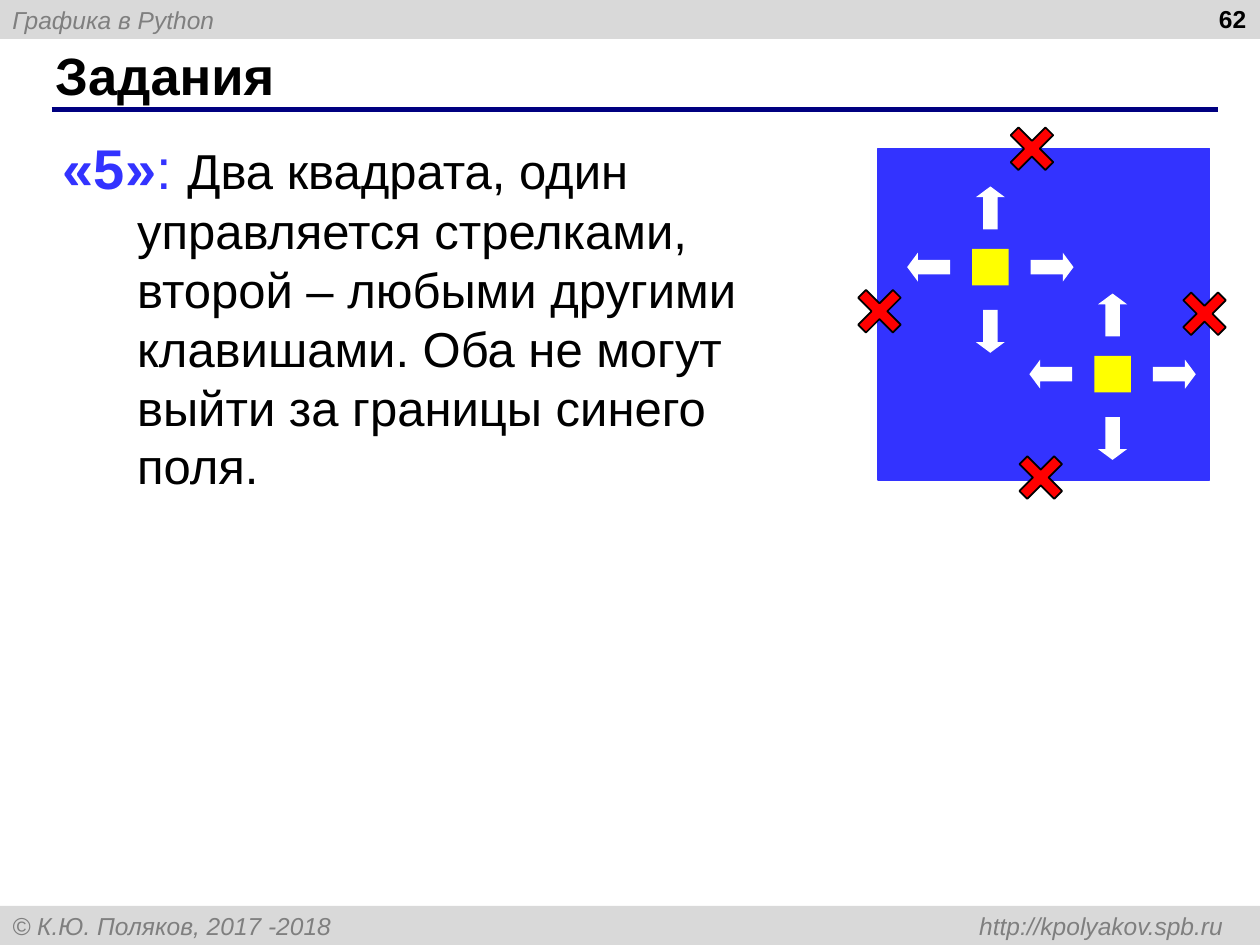
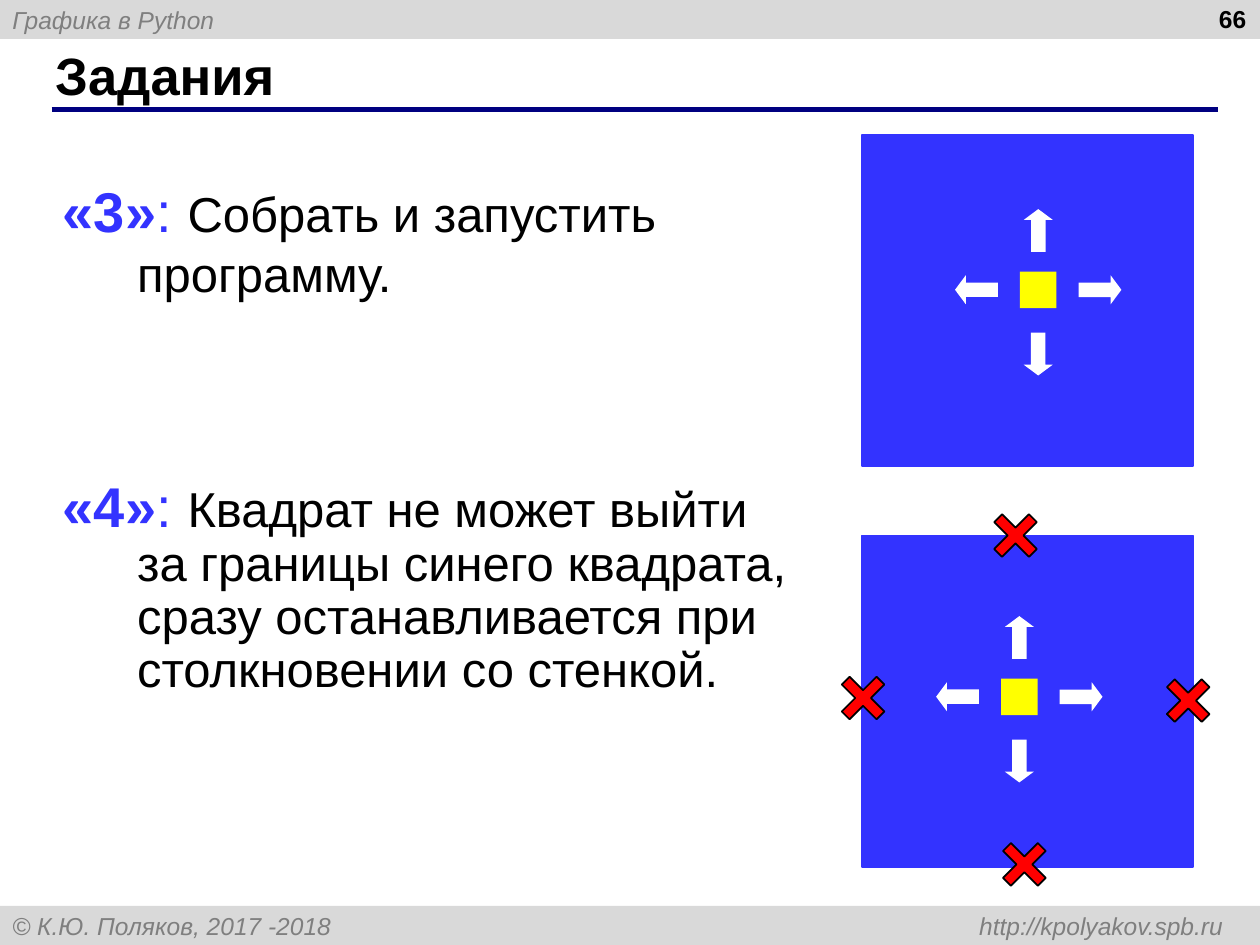
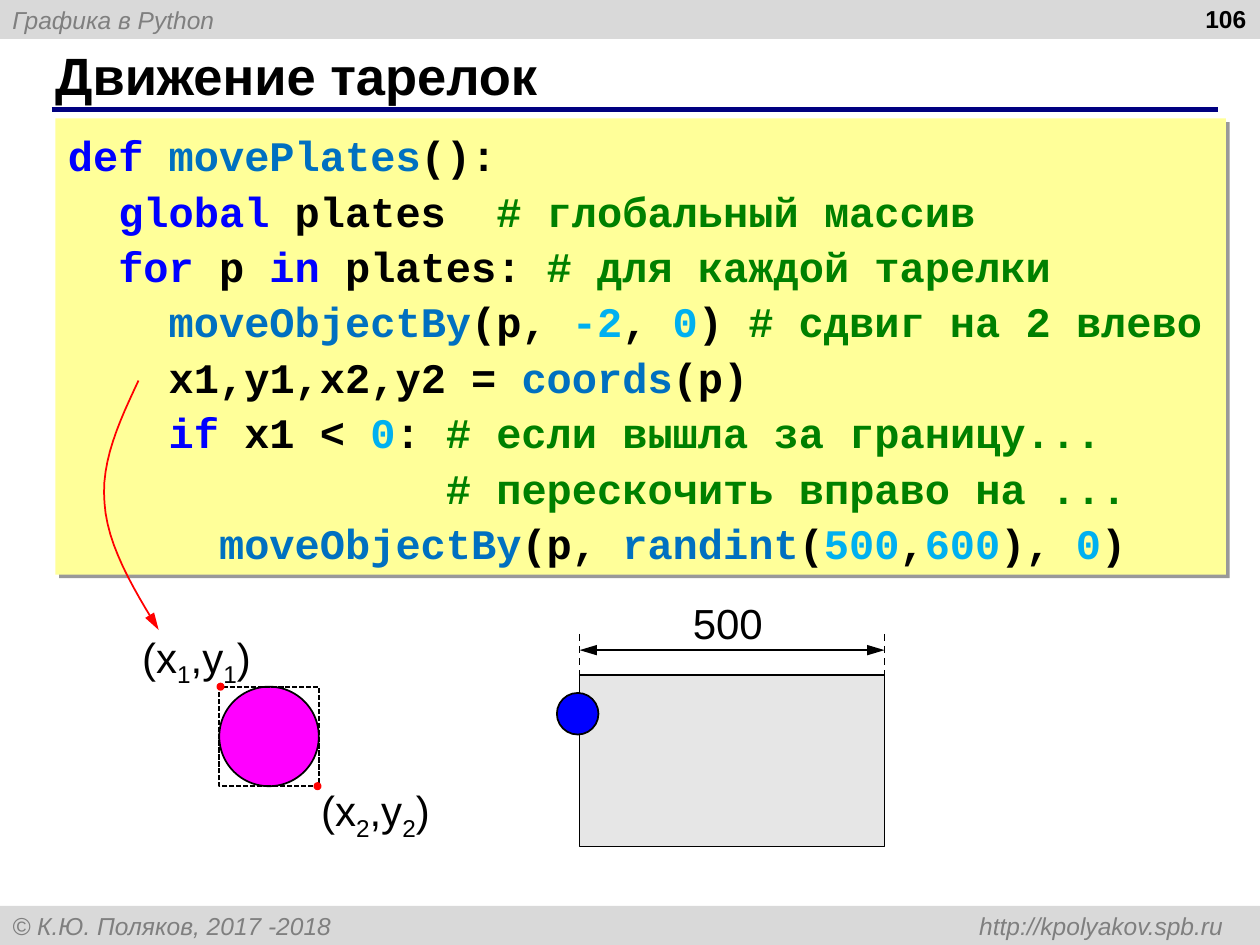
from dataclasses import dataclass
from typing import Any, NamedTuple, Optional

from lxml.etree import SubElement
from pptx import Presentation
from pptx.dml.color import RGBColor
from pptx.enum.dml import MSO_LINE
from pptx.enum.shapes import MSO_CONNECTOR, MSO_SHAPE
from pptx.enum.text import MSO_ANCHOR, MSO_AUTO_SIZE, PP_ALIGN
from pptx.oxml.ns import qn
from pptx.util import Inches, Pt

BLACK, WHITE, RED, YELLOW = "000000", "FFFFFF", "FF0000", "FFFF00"
BLUE, NAVY, GREY, BAND = "3333FF", "000080", "7F7F7F", "D9D9D9"
KEY, NAME, NOTE, NUM = "0000FF", "0070C0", "008000", "00B0F0"


class Box(NamedTuple):
    """Left, top, width and height in inches."""

    left: float
    top: float
    width: float
    height: float


class Run(NamedTuple):
    """A piece of text; unset fields come from the text block."""

    text: str
    color: Optional[str] = None
    size: Optional[float] = None
    bold: Optional[bool] = None
    sub: bool = False


@dataclass
class Task:
    """A graded task: its mark and its wording."""

    mark: str
    text: str

    def runs(self) -> list[Run]:
        """Return the coloured mark followed by the wording."""
        return [Run(f"«{self.mark}»", BLUE, 32, True), Run(": ", BLUE, 32), Run(self.text)]


@dataclass
class Board:
    """A blue field, the centres of its squares, and whether its walls are shut."""

    left: float
    top: float
    squares: list[tuple[float, float]]
    shut: bool = True


SIDE = 2.63
WALLS = [(0.01, 1.29), (2.59, 1.31), (1.29, 2.61), (1.22, 0)]
ARROWS = [(-0.49, 0, 0), (0, -0.47, 90), (0.49, 0, 180), (0, 0.51, 270)]

CODE = [
    [Run("def ", KEY), Run("movePlates", NAME), Run("():")],
    [Run("  "), Run("global", KEY), Run(" plates  "), Run("# глобальный массив", NOTE)],
    [Run("  "), Run("for", KEY), Run(" p "), Run("in", KEY), Run(" plates: "),
     Run("# для каждой тарелки", NOTE)],
    [Run("    "), Run("moveObjectBy", NAME), Run("(p, "), Run("-2", NUM), Run(", "),
     Run("0", NUM), Run(") "), Run("# сдвиг на 2 влево", NOTE)],
    [Run("    x1,y1,x2,y2 = "), Run("coords", NAME), Run("(p)")],
    [Run("    "), Run("if", KEY), Run(" x1 < "), Run("0", NUM), Run(": "),
     Run("# если вышла за границу...", NOTE)],
    [Run("               "), Run("# перескочить вправо на ...", NOTE)],
    [Run("      "), Run("moveObjectBy", NAME), Run("(p, "), Run("randint", NAME), Run("("),
     Run("500", NUM), Run(","), Run("600", NUM), Run("), "), Run("0", NUM), Run(")")],
]


def paint(target: Any, color: Optional[str]) -> None:
    """Give a fill a solid colour, or clear it."""
    if color is None:
        target.background()
    else:
        target.solid()
        target.fore_color.rgb = RGBColor.from_string(color)


def write(shape: Any, lines: list[list[Run]], *, size: float = 24, color: str = BLACK,
          font: str = "Arial", bold: bool = False, italic: bool = False,
          align: Any = PP_ALIGN.LEFT, anchor: Any = MSO_ANCHOR.TOP, wrap: bool = True,
          hang: float = 0, space: Optional[float] = None, tab: float = 0) -> None:
    """Fill a shape with paragraphs of runs."""
    frame = shape.text_frame
    frame.word_wrap = wrap
    frame.vertical_anchor = anchor
    if not wrap:
        frame.auto_size = MSO_AUTO_SIZE.SHAPE_TO_FIT_TEXT
    for i, runs in enumerate(lines):
        para = frame.add_paragraph() if i else frame.paragraphs[0]
        props = para._p.get_or_add_pPr()
        if hang:
            props.set("marL", str(Inches(hang)))
            props.set("indent", str(-Inches(hang)))
        if tab:
            stops = SubElement(props, qn("a:tabLst"))
            SubElement(stops, qn("a:tab"), pos=str(Inches(tab)), algn="r")
        para.alignment = align
        if space:
            para.line_spacing = space
        for item in runs:
            run = para.add_run()
            run.text = item.text
            run.font.name = font
            run.font.size = Pt(item.size or size)
            run.font.bold = bold if item.bold is None else item.bold
            run.font.italic = italic
            paint(run.font.fill, item.color or color)
            if item.sub:
                run._r.get_or_add_rPr().set("baseline", "-25000")


def label(slide: Any, box: Box, lines: list[list[Run]], **style: Any) -> Any:
    """Add a text box."""
    shape = slide.shapes.add_textbox(*map(Inches, box))
    write(shape, lines, **style)
    return shape


def form(slide: Any, kind: Any, box: Box, fill: Optional[str] = None,
         line: Optional[str] = None, turn: float = 0, adjust: tuple = ()) -> Any:
    """Add a preset shape without shadow."""
    shape = slide.shapes.add_shape(kind, *map(Inches, box))
    shape.shadow.inherit = False
    shape.rotation = turn
    for i, value in enumerate(adjust):
        shape.adjustments[i] = value
    paint(shape.fill, fill)
    paint(shape.line.fill, line)
    if line:
        shape.line.width = Pt(1)
    return shape


def around(x: float, y: float, width: float, height: float) -> Box:
    """Return the box centred on a point."""
    return Box(x - width / 2, y - height / 2, width, height)


def tip(shape: Any, *ends: str) -> None:
    """Put long arrowheads on the named line ends."""
    line = shape._element.spPr.find(qn("a:ln"))
    for end in ends:
        SubElement(line, qn(f"a:{end}"), type="triangle", w="med", len="lg")


def rule(slide: Any, start: tuple[float, float], end: tuple[float, float],
         color: str = BLACK, width: float = 1, dash: Any = None) -> Any:
    """Add a straight line without shadow."""
    line = slide.shapes.add_connector(MSO_CONNECTOR.STRAIGHT, *map(Inches, start + end))
    paint(line.line.fill, color)
    line.line.width = Pt(width)
    if dash:
        line.line.dash_style = dash
    SubElement(line._element.spPr, qn("a:effectLst"))
    return line


def start(deck: Any, title: str, page: int) -> Any:
    """Add a slide with bands, title, rule and page number."""
    slide = deck.slides.add_slide(deck.slide_layouts[6])
    foot = "© К.Ю. Поляков, 2017 -2018\thttp://kpolyakov.spb.ru"
    for top, text, tab in ((0, "Графика в Python", 0), (7.19, foot, 9.61)):
        band = form(slide, MSO_SHAPE.RECTANGLE, Box(0, top, 10, 0.31), BAND)
        write(band, [[Run(text)]], size=14, color=GREY, italic=True,
              anchor=MSO_ANCHOR.MIDDLE, tab=tab)
    rule(slide, (0.41, 0.87), (9.67, 0.87), NAVY, 3)
    label(slide, Box(0.34, 0.33, 9.16, 0.52), [[Run(title)]], size=30, bold=True,
          anchor=MSO_ANCHOR.MIDDLE)
    label(slide, Box(7.66, -0.02, 2.33, 0.52), [[Run(str(page))]], size=14, bold=True,
          align=PP_ALIGN.RIGHT)
    return slide


def field(slide: Any, board: Board) -> None:
    """Draw a board with its moving squares and shut walls."""
    form(slide, MSO_SHAPE.RECTANGLE, Box(board.left, board.top, SIDE, SIDE), BLUE, BLUE)
    for x, y in board.squares:
        form(slide, MSO_SHAPE.RECTANGLE, around(x, y, 0.29, 0.29), YELLOW)
        for dx, dy, turn in ARROWS:
            form(slide, MSO_SHAPE.LEFT_ARROW, around(x + dx, y + dy, 0.34, 0.23), WHITE,
                 turn=turn, adjust=(0.5, 0.372))
    for dx, dy in WALLS if board.shut else []:
        form(slide, MSO_SHAPE.CROSS, around(board.left + dx, board.top + dy, 0.39, 0.39),
             RED, BLACK, 45, (0.387,))


def bend(points: list[tuple[float, float]], t: float) -> tuple[float, float]:
    """Return the point at t on a cubic curve."""
    parts = ((1 - t) ** 3, 3 * t * (1 - t) ** 2, 3 * t * t * (1 - t), t ** 3)
    return (sum(k * x for k, (x, _) in zip(parts, points)),
            sum(k * y for k, (_, y) in zip(parts, points)))


def listing(slide: Any) -> None:
    """Draw the code panel with its hard shadow."""
    panel = form(slide, MSO_SHAPE.RECTANGLE, Box(0.44, 0.94, 9.29, 3.62), "FFFF99")
    write(panel, CODE, font="Courier New", bold=True, space=1.1)
    effects = panel._element.spPr.find(qn("a:effectLst"))
    shade = SubElement(effects, qn("a:outerShdw"), blurRad="0", dist=str(Pt(3)),
                       dir="2700000", algn="tl", rotWithShape="0")
    tone = SubElement(shade, qn("a:srgbClr"), val=BLACK)
    SubElement(tone, qn("a:alpha"), val="40000")


def plate(slide: Any) -> None:
    """Draw a plate in its frame with the corners named."""
    box = Box(1.74, 5.45, 0.79, 0.79)
    form(slide, MSO_SHAPE.OVAL, box, "FF00FF", BLACK)
    frame = form(slide, MSO_SHAPE.RECTANGLE, box, None, BLACK)
    frame.line.dash_style = MSO_LINE.SQUARE_DOT
    for digit, left, top in (("1", 1.03, 4.96), ("2", 2.45, 6.18)):
        low = Run(digit, sub=True)
        label(slide, Box(left, top, 1.06, 0.56),
              [[Run("(x"), low, Run(",y"), low, Run(")")]], wrap=False)
    for x, y in ((1.75, 5.45), (2.52, 6.24)):
        form(slide, MSO_SHAPE.OVAL, around(x, y, 0.05, 0.05), RED, RED)


def pointer(slide: Any) -> None:
    """Draw the curved arrow from the code to the plate."""
    curves = [[(1.1, 3.02), (0.95, 3.34), (0.8, 3.66), (0.83, 3.99)],
              [(0.83, 3.99), (0.85, 4.32), (1.05, 4.66), (1.26, 5)]]
    steps = 12
    points = [bend(curve, i / steps) for curve in curves for i in range(1, steps + 1)]
    pen = slide.shapes.build_freeform(*map(Inches, curves[0][0]))
    pen.add_line_segments([(Inches(x), Inches(y)) for x, y in points], close=False)
    curve = pen.convert_to_shape()
    curve.shadow.inherit = False
    paint(curve.fill, None)
    paint(curve.line.fill, RED)
    curve.line.width = Pt(1)
    tip(curve, "tailEnd")


def screen(slide: Any) -> None:
    """Draw the window, its width mark and the plate at its edge."""
    left, right = 4.6, 7.02
    form(slide, MSO_SHAPE.RECTANGLE, Box(left, 5.36, right - left, 1.36), "E6E6E6", BLACK)
    for x in (left, right):
        rule(slide, (x, 5.03), (x, 5.37), dash=MSO_LINE.DASH)
    tip(rule(slide, (left, 5.16), (right, 5.16)), "headEnd", "tailEnd")
    label(slide, Box(5.4, 4.69, 0.78, 0.5), [[Run("500")]], wrap=False)
    form(slide, MSO_SHAPE.OVAL, Box(4.42, 5.5, 0.33, 0.33), KEY, BLACK)


def main() -> None:
    """Build the three slides."""
    deck = Presentation()
    deck.slide_width, deck.slide_height = Inches(10), Inches(7.5)

    slide = start(deck, "Задания", 62)
    five = Task("5", "Два квадрата, один управляется стрелками, второй – любыми другими "
                "клавишами. Оба не могут выйти за границы синего поля.")
    label(slide, Box(0.4, 1.01, 6.24, 2.97), [five.runs()], size=28, hang=0.59)
    field(slide, Board(6.97, 1.18, [(7.86, 2.12), (8.83, 2.97)]))

    slide = start(deck, "Задания", 66)
    three = Task("3", "Собрать и запустить программу.")
    four = Task("4", "Квадрат не может выйти за границы синего квадрата, "
                "сразу останавливается при столкновении со стенкой.")
    body = label(slide, Box(0.4, 1.35, 5.95, 4.67), [three.runs(), four.runs()],
                 size=28, hang=0.59)
    last = body.text_frame.paragraphs[1]
    last.line_spacing = 0.9
    last.space_before = Pt(101)
    field(slide, Board(6.84, 1.07, [(8.24, 2.3)], shut=False))
    field(slide, Board(6.84, 4.25, [(8.09, 5.53)]))

    slide = start(deck, "Движение тарелок", 106)
    listing(slide)
    plate(slide)
    pointer(slide)
    screen(slide)
    deck.save("out.pptx")


if __name__ == "__main__":
    main()
